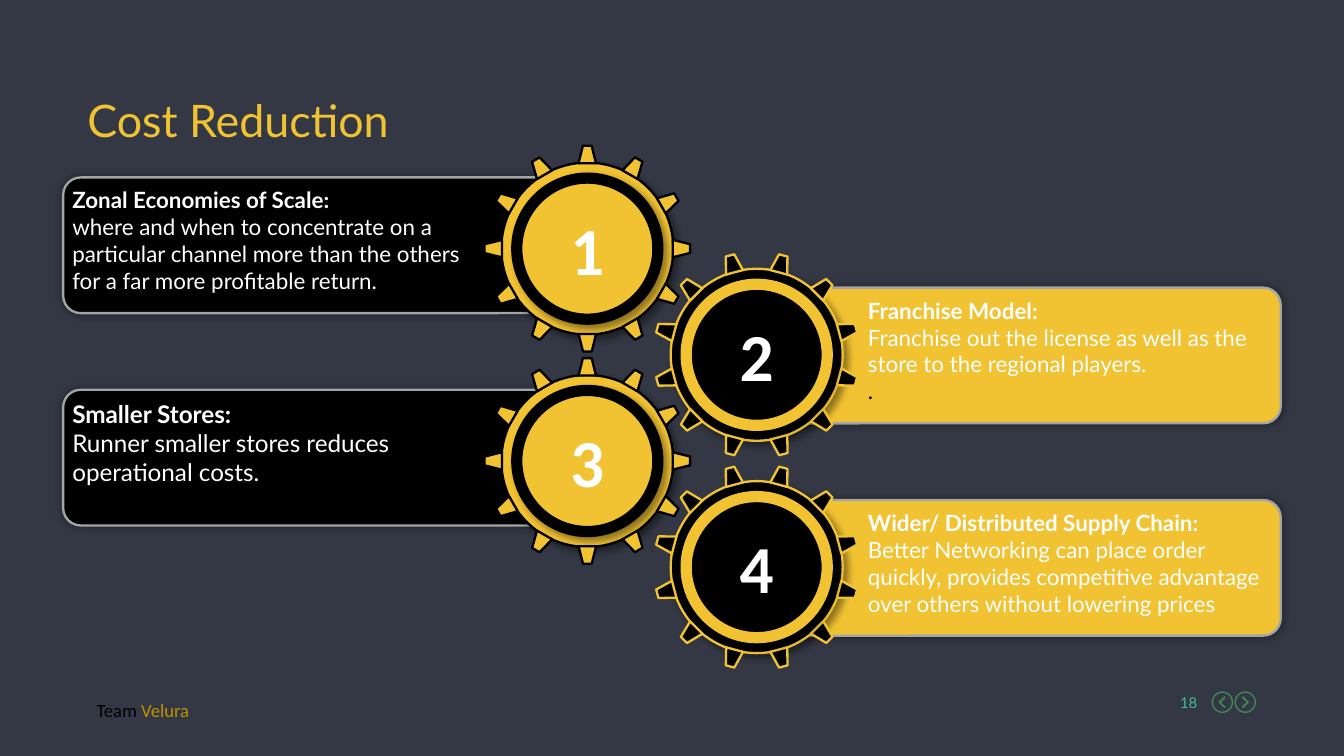
from math import cos, radians, sin

from lxml import etree
from pptx import Presentation
from pptx.dml.color import RGBColor
from pptx.enum.shapes import MSO_SHAPE as SHAPE
from pptx.enum.text import MSO_ANCHOR as ANCHOR, PP_ALIGN as ALIGN
from pptx.oxml.ns import qn
from pptx.util import Inches, Pt

BACKGROUND = RGBColor(0x33, 0x38, 0x44)
GOLD = RGBColor(0xF1, 0xC2, 0x32)
DARK_GOLD = RGBColor(0xBF, 0x90, 0x00)
BLACK = RGBColor(0x00, 0x00, 0x00)
WHITE = RGBColor(0xFF, 0xFF, 0xFF)
GRAY = RGBColor(0xA5, 0xA5, 0xA5)
TEAL = RGBColor(0x42, 0xBA, 0x97)
GREEN = RGBColor(0x3E, 0x88, 0x53)

CARD_WIDTH, CARD_HEIGHT = 3.94, 1.01
GEAR_SIZE, TOOTH_SIZE, HUB_SIZE = 1.28, 0.13, 1.05
TOOTH_RADIUS, TEETH = 0.7, 12
FIRST_GEAR_Y, GEAR_PITCH = 1.85, 0.79

# Paragraphs and text size of each step, in order
STEPS = [
    (["Zonal Economies of Scale:",
      "where and when to concentrate on a particular channel more than "
      "the others for a far more profitable return."], 12),
    (["Franchise Model:",
      "Franchise out the license as well as the store to the regional players.",
      "."], 12),
    (["Smaller Stores:",
      "Runner smaller stores reduces operational costs."], 13),
    (["Wider/ Distributed Supply Chain:",
      "Better Networking can place order quickly, provides competitive "
      "advantage over others without lowering prices"], 12),
]


def add_shadow(shape, blur, distance, angle):
    effects = shape._element.spPr.find(qn("a:effectLst"))
    shadow = etree.SubElement(
        effects, qn("a:outerShdw"), blurRad=str(Pt(blur)), dist=str(Pt(distance)),
        dir=str(angle * 60000), algn="ctr", rotWithShape="0")
    color = etree.SubElement(shadow, qn("a:srgbClr"), val=str(BLACK))
    etree.SubElement(color, qn("a:alpha"), val="40000")


def add_outlined(shapes, kind, left, top, width, height, fill, line, weight):
    shape = shapes.add_shape(kind, Inches(left), Inches(top),
                             Inches(width), Inches(height))
    shape.shadow.inherit = False
    if fill is None:
        shape.fill.background()
    else:
        shape.fill.solid()
        shape.fill.fore_color.rgb = fill
    shape.line.color.rgb = line
    shape.line.width = Pt(weight)
    return shape


def set_margins(frame, left, top, right, bottom):
    frame.margin_left, frame.margin_top = Inches(left), Inches(top)
    frame.margin_right, frame.margin_bottom = Inches(right), Inches(bottom)


def style_run(run, font, size, color, bold=False):
    run.font.name = font
    run.font.size = Pt(size)
    run.font.color.rgb = color
    run.font.bold = bold


def add_label(slide, left, top, width, height, text, size, color,
              anchor=ANCHOR.TOP, align=ALIGN.LEFT):
    label = slide.shapes.add_textbox(Inches(left), Inches(top),
                                     Inches(width), Inches(height))
    frame = label.text_frame
    frame.word_wrap = True
    frame.vertical_anchor = anchor
    set_margins(frame, 0, 0, 0, 0)
    frame.text = text
    frame.paragraphs[0].alignment = align
    style_run(frame.paragraphs[0].runs[0], "Lato", size, color)


def add_card(shapes, left, top, paragraphs, size, fill, gear_on_right):
    card = add_outlined(shapes, SHAPE.ROUNDED_RECTANGLE, left, top,
                        CARD_WIDTH, CARD_HEIGHT, fill, GRAY, 1.25)
    card.adjustments[0] = 0.13
    add_shadow(card, 5, 0, 0)
    frame = card.text_frame
    frame.word_wrap = True
    frame.vertical_anchor = ANCHOR.TOP
    left_margin, right_margin = (0.03, 0.83) if gear_on_right else (0.83, 0.03)
    set_margins(frame, left_margin, 0.03, right_margin, 0.04)
    frame.text = "\n".join(paragraphs)
    for index, paragraph in enumerate(frame.paragraphs):
        paragraph.alignment = ALIGN.LEFT
        color = BLACK if paragraph.text == "." else WHITE
        style_run(paragraph.runs[0], "Lato", size, color, bold=index == 0)


def add_gear(shapes, center_x, center_y, number, fill, line, turn):
    """Draw a numbered gear around its centre, turned by the given degrees."""
    def add_centered(kind, x, y, size, weight):
        return add_outlined(shapes, kind, x - size / 2, y - size / 2,
                            size, size, fill, line, weight)

    rim = add_centered(SHAPE.DONUT, center_x, center_y, GEAR_SIZE, 1.25)
    rim.adjustments[0] = 0.07
    rim.rotation = turn
    add_shadow(rim, 4, 3, 45)

    for index in range(TEETH):
        angle = turn + index * 360 / TEETH
        tooth = add_centered(SHAPE.TRAPEZOID,
                             center_x + TOOTH_RADIUS * sin(radians(angle)),
                             center_y - TOOTH_RADIUS * cos(radians(angle)),
                             TOOTH_SIZE, 1.25)
        tooth.adjustments[0] = 0.25
        tooth.rotation = angle

    hub = add_centered(SHAPE.OVAL, center_x, center_y, HUB_SIZE, 6)
    add_shadow(hub, 4, 3, 45)
    frame = hub.text_frame
    frame.vertical_anchor = ANCHOR.MIDDLE
    set_margins(frame, 0.07, 0.04, 0.07, 0.04)
    frame.text = str(number)
    frame.paragraphs[0].alignment = ALIGN.CENTER
    style_run(frame.paragraphs[0].runs[0], "Calibri", 36, WHITE, bold=True)


def add_step(slide, number, paragraphs, size):
    """Add one card with its gear; odd steps sit left, even steps right."""
    shapes = slide.shapes.add_group_shape().shapes
    gear_y = FIRST_GEAR_Y + (number - 1) * GEAR_PITCH
    if number % 2:
        add_card(shapes, 0.47, gear_y - 0.53, paragraphs, size, BLACK, True)
        add_gear(shapes, 4.37, gear_y, number, GOLD, BLACK, 0)
    else:
        add_card(shapes, 5.59, gear_y - 0.5, paragraphs, size, GOLD, False)
        add_gear(shapes, 5.63, gear_y, number, BLACK, GOLD, 15)


def add_page_arrow(slide, left, top, direction):
    """Add a ringed chevron pointing left (-1) or right (1)."""
    diameter = 0.15
    add_outlined(slide.shapes, SHAPE.OVAL, left, top, diameter, diameter,
                 None, GREEN, 0.75)
    center_x, center_y = left + diameter / 2, top + diameter / 2
    back, tip = center_x - direction * 0.02, center_x + direction * 0.02
    builder = slide.shapes.build_freeform(Inches(back), Inches(center_y - 0.04))
    builder.add_line_segments([(Inches(tip), Inches(center_y)),
                               (Inches(back), Inches(center_y + 0.04))], close=False)
    chevron = builder.convert_to_shape()
    chevron.shadow.inherit = False
    chevron.fill.background()
    chevron.line.color.rgb = GREEN
    chevron.line.width = Pt(1)


def add_footer(slide, left, top):
    team = slide.shapes.add_textbox(Inches(left), Inches(top),
                                    Inches(1.58), Inches(0.41))
    frame = team.text_frame
    frame.word_wrap = True
    set_margins(frame, 0.1, 0.1, 0.1, 0.1)
    paragraph = frame.paragraphs[0]
    paragraph.line_spacing = 1.15
    for text, color in (("Team ", BLACK), ("Velura", DARK_GOLD)):
        run = paragraph.add_run()
        run.text = text
        style_run(run, "Calibri", 10, color)

    add_label(slide, left + 8.06, top + 0.08, 0.23, 0.13, "18", 8, TEAL,
              align=ALIGN.RIGHT)
    add_page_arrow(slide, left + 8.4, top + 0.07, -1)
    add_page_arrow(slide, left + 8.57, top + 0.07, 1)


def main():
    deck = Presentation()
    deck.slide_width = Inches(10)
    deck.slide_height = deck.slide_width * 9 // 16
    slide = deck.slides.add_slide(deck.slide_layouts[6])
    slide.background.fill.solid()
    slide.background.fill.fore_color.rgb = BACKGROUND

    add_footer(slide, 0.62, 5.08)
    for number, (paragraphs, size) in enumerate(STEPS, start=1):
        add_step(slide, number, paragraphs, size)
    add_label(slide, 0.65, 0.59, 8.7, 0.5, "Cost Reduction", 24, GOLD,
              anchor=ANCHOR.BOTTOM)
    deck.save("out.pptx")


if __name__ == "__main__":
    main()
